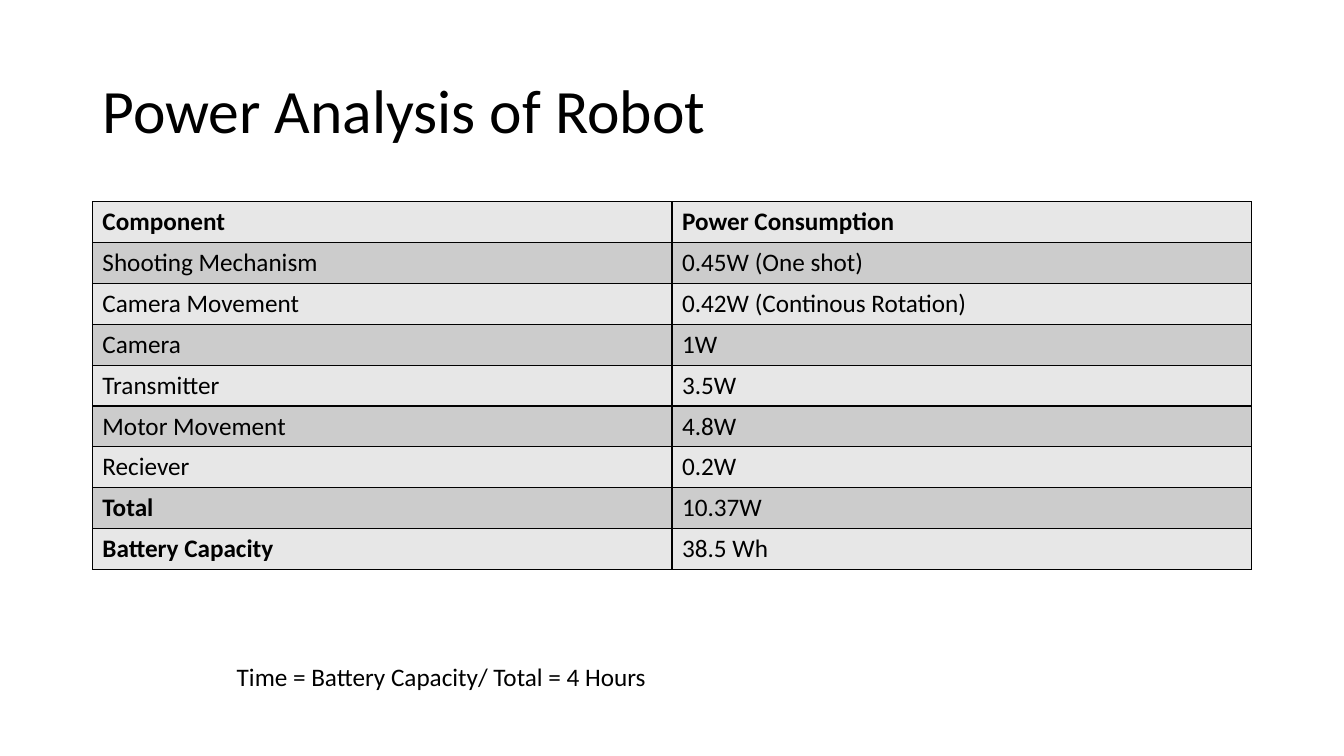
import pptx
import pptx.dml.color
import pptx.enum.text
import pptx.oxml
import pptx.oxml.ns
import pptx.util

Pt = pptx.util.Pt
COLORS = {"ink": "000000", "light": "E7E7E7", "dark": "CCCCCC"}
POWER_ROWS = [
    ("Component", "Power Consumption"),
    ("Shooting Mechanism", "0.45W (One shot)"),
    ("Camera Movement", "0.42W (Continous Rotation)"),
    ("Camera", "1W"),
    ("Transmitter", "3.5W"),
    ("Motor Movement", "4.8W"),
    ("Reciever", "0.2W"),
    ("Total", "10.37W"),
    ("Battery Capacity", "38.5 Wh"),
]
BOLD_LABELS = {"Component", "Power Consumption", "Total", "Battery Capacity"}


def color(name):
    return pptx.dml.color.RGBColor.from_string(COLORS[name])


class PowerPage:
    """Holds the text style and the current slide, and adds elements to it."""

    def __init__(self, deck, font="Calibri", ink="ink"):
        self.font = font
        self.ink = ink
        self.page = deck.slides.add_slide(deck.slide_layouts[5])

    def fill_text(self, frame, text, size, bold=False, spacing=None):
        para = frame.paragraphs[0]
        para.alignment = pptx.enum.text.PP_ALIGN.LEFT
        para.line_spacing = spacing
        span = para.add_run()
        span.text = text
        formats = {"name": self.font, "size": Pt(size), "bold": bold}
        for key, value in formats.items():
            setattr(span.font, key, value)
        span.font.color.rgb = color(self.ink)

    def title(self, text, left, top, width, height):
        box = self.page.shapes.title
        places = {"left": left, "top": top, "width": width, "height": height}
        for key, value in places.items():
            setattr(box, key, Pt(value))
        frame = box.text_frame
        frame.word_wrap = True
        frame.auto_size = pptx.enum.text.MSO_AUTO_SIZE.NONE
        frame.vertical_anchor = pptx.enum.text.MSO_ANCHOR.MIDDLE
        self.fill_text(frame, text, 44, spacing=0.9)

    def text(self, text, left, top, width, height):
        box = self.page.shapes.add_textbox(Pt(left), Pt(top), Pt(width), Pt(height))
        frame = box.text_frame
        frame.word_wrap = True
        frame.auto_size = pptx.enum.text.MSO_AUTO_SIZE.SHAPE_TO_FIT_TEXT
        self.fill_text(frame, text, 18)

    def borders(self, cell):
        properties = cell._tc.get_or_add_tcPr()
        for position, side in enumerate(("lnL", "lnR", "lnT", "lnB")):
            line = pptx.oxml.parse_xml(
                f'<a:{side} {pptx.oxml.ns.nsdecls("a")} w="{Pt(1)}"><a:solidFill>'
                f'<a:srgbClr val="{COLORS[self.ink]}"/></a:solidFill></a:{side}>'
            )
            properties.insert(position, line)

    def table(self, rows, left, top, width, row_height):
        height = row_height * len(rows)
        frame = self.page.shapes.add_table(
            len(rows), len(rows[0]), Pt(left), Pt(top), Pt(width), Pt(height)
        )
        for row_index, labels in enumerate(rows):
            frame.table.rows[row_index].height = Pt(row_height)
            for column_index, label in enumerate(labels):
                cell = frame.table.cell(row_index, column_index)
                cell.fill.solid()
                cell.fill.fore_color.rgb = color("dark" if row_index % 2 else "light")
                self.fill_text(cell.text_frame, label, 18, label in BOLD_LABELS)
                self.borders(cell)


deck = pptx.Presentation()
deck.slide_width, deck.slide_height = Pt(960), Pt(540)
power = PowerPage(deck)
power.title("Power Analysis of Robot", 66, 28.75, 828, 104.4)
power.table(POWER_ROWS, 66, 144, 828, 29.2)
power.text("Time = Battery Capacity/ Total = 4 Hours", 162, 468.7, 373, 29)
deck.save("out.pptx")
